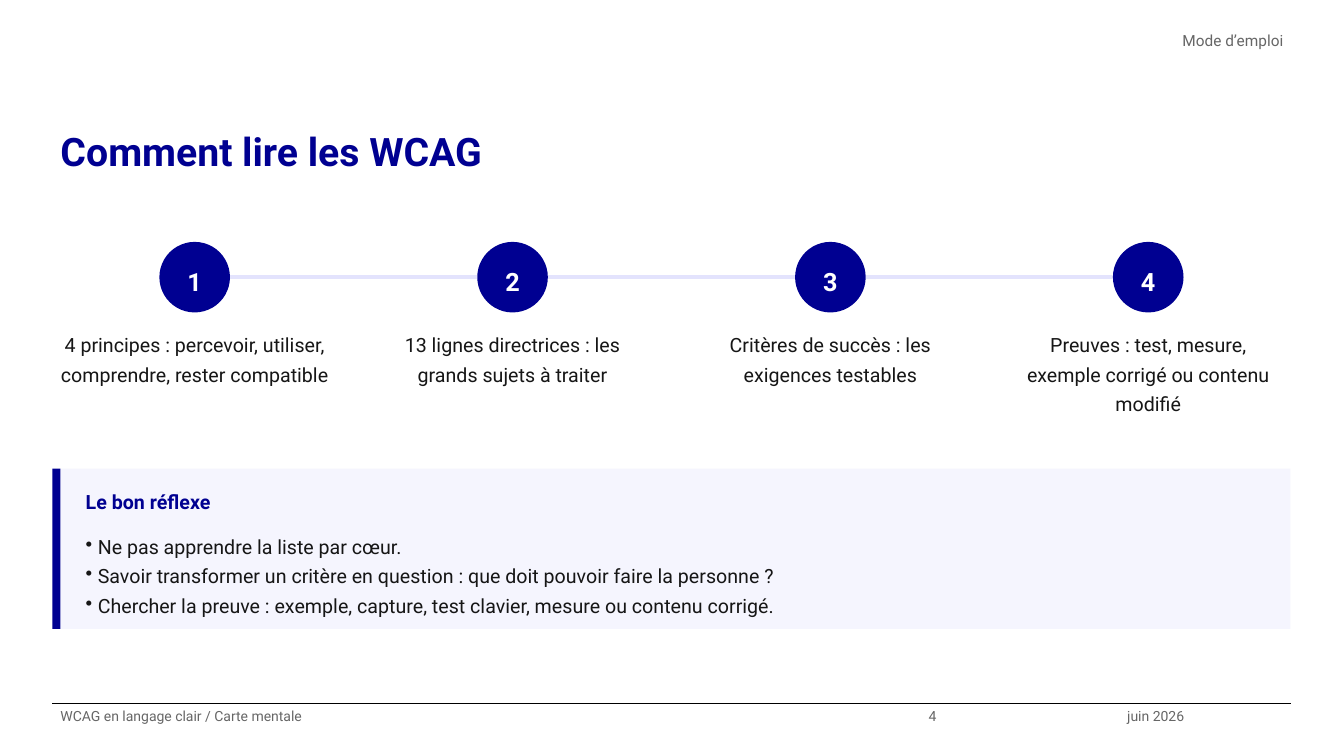
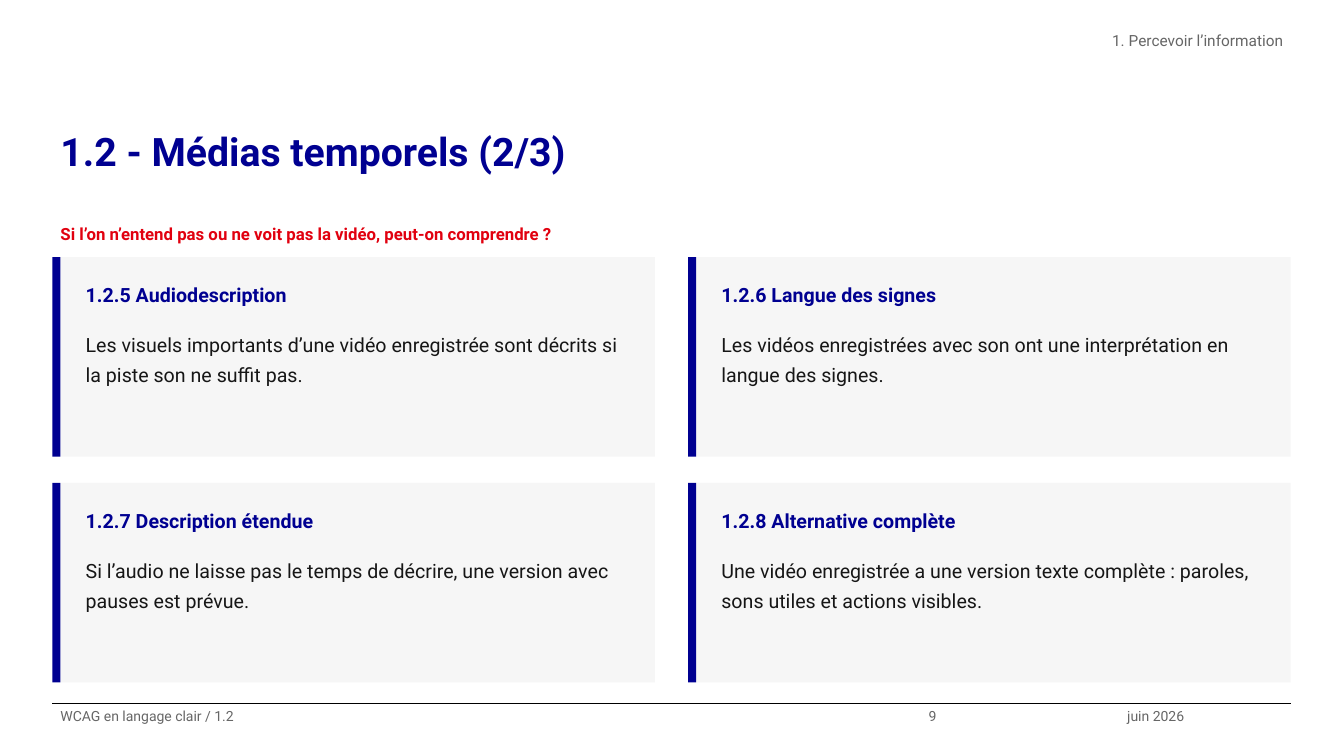
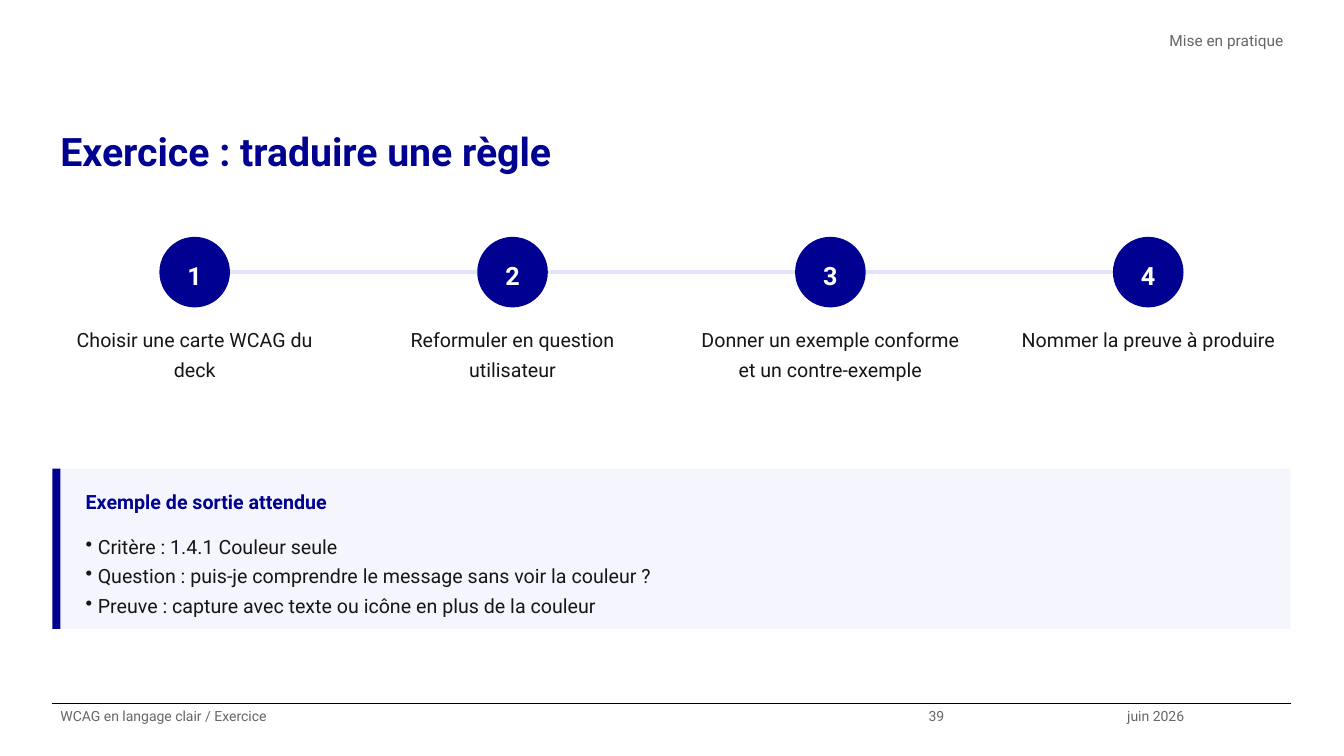
from lxml import etree
from pptx import Presentation
from pptx.dml.color import RGBColor
from pptx.enum.shapes import MSO_CONNECTOR as Connector, MSO_SHAPE as Shape
from pptx.enum.text import MSO_ANCHOR as Anchor, PP_ALIGN as Align
from pptx.oxml.ns import qn
from pptx.util import Inches, Pt

STEPS_SLIDES = [
    dict(
        title="Comment lire les WCAG",
        section="Mode d’emploi",
        chapter="Carte mentale",
        number=4,
        steps_top=2.4,
        steps=[
            "4 principes : percevoir, utiliser, comprendre, rester compatible",
            "13 lignes directrices : les grands sujets à traiter",
            "Critères de succès : les exigences testables",
            "Preuves : test, mesure, exemple corrigé ou contenu modifié",
        ],
        panel_heading="Le bon réflexe",
        panel_points=[
            "Ne pas apprendre la liste par cœur.",
            "Savoir transformer un critère en question : que doit pouvoir faire la personne ?",
            "Chercher la preuve : exemple, capture, test clavier, mesure ou contenu corrigé.",
        ],
    ),
    dict(
        title="Exercice : traduire une règle",
        section="Mise en pratique",
        chapter="Exercice",
        number=39,
        steps_top=2.35,
        steps=[
            "Choisir une carte WCAG du deck",
            "Reformuler en question utilisateur",
            "Donner un exemple conforme et un contre-exemple",
            "Nommer la preuve à produire",
        ],
        panel_heading="Exemple de sortie attendue",
        panel_points=[
            "Critère : 1.4.1 Couleur seule",
            "Question : puis-je comprendre le message sans voir la couleur ?",
            "Preuve : capture avec texte ou icône en plus de la couleur",
        ],
    ),
]

CRITERIA_SLIDE = dict(
    title="1.2 - Médias temporels (2/3)",
    section="1. Percevoir l’information",
    chapter="1.2",
    number=9,
    question="Si l’on n’entend pas ou ne voit pas la vidéo, peut-on comprendre ?",
    criteria=[
        ("1.2.5 Audiodescription",
         "Les visuels importants d’une vidéo enregistrée sont décrits si la piste son ne suffit pas."),
        ("1.2.6 Langue des signes",
         "Les vidéos enregistrées avec son ont une interprétation en langue des signes."),
        ("1.2.7 Description étendue",
         "Si l’audio ne laisse pas le temps de décrire, une version avec pauses est prévue."),
        ("1.2.8 Alternative complète",
         "Une vidéo enregistrée a une version texte complète : paroles, sons utiles et actions visibles."),
    ],
)

COURSE = "WCAG en langage clair"
DATE = "juin 2026"

FONT = "Roboto"
BLUE = RGBColor(0x00, 0x00, 0x91)
PALE_BLUE = RGBColor(0xF5, 0xF5, 0xFE)
LINK_BLUE = RGBColor(0xE3, 0xE3, 0xFD)
RED = RGBColor(0xE1, 0x00, 0x0F)
LIGHT_GRAY = RGBColor(0xF6, 0xF6, 0xF6)
GRAY = RGBColor(0x66, 0x66, 0x66)
INK = RGBColor(0x16, 0x16, 0x16)
BLACK = RGBColor(0, 0, 0)
WHITE = RGBColor(0xFF, 0xFF, 0xFF)

LEFT, WIDTH = 0.52, 12.28
COLUMN_GAP, ROW_GAP = 0.33, 0.26
FOOTER_TOP = 6.98
CIRCLE = 0.7
ACCENT = 0.08
BULLET_INDENT = 0.12


def column_width(count):
    return (WIDTH - (count - 1) * COLUMN_GAP) / count


def write(frame, lines, size, color, bold=False, align=Align.LEFT, inset=0.05, bullets=False):
    frame.word_wrap = True
    frame.margin_left = frame.margin_right = Inches(0.08)
    frame.margin_top = frame.margin_bottom = Inches(inset)
    for index, line in enumerate(lines):
        paragraph = frame.paragraphs[0] if index == 0 else frame.add_paragraph()
        paragraph.text = line
        paragraph.alignment = align
        paragraph.line_spacing = 1.25
        if bullets:
            properties = paragraph._p.get_or_add_pPr()
            properties.set("marL", str(Inches(BULLET_INDENT)))
            properties.set("indent", str(-Inches(BULLET_INDENT)))
            etree.SubElement(properties, qn("a:buChar")).set("char", "•")
        font = paragraph.font
        font.name, font.size, font.bold = FONT, Pt(size), bold
        font.color.rgb = color


def add_text(slide, box, lines, size, color, **style):
    frame = slide.shapes.add_textbox(*map(Inches, box)).text_frame
    write(frame, lines, size, color, **style)


def add_filled(slide, kind, box, color):
    shape = slide.shapes.add_shape(kind, *map(Inches, box))
    shape.shadow.inherit = False
    shape.fill.solid()
    shape.fill.fore_color.rgb = color
    shape.line.fill.background()
    return shape


def add_rule(slide, start, end, y, color, width):
    rule = slide.shapes.add_connector(Connector.STRAIGHT, *map(Inches, (start, y, end, y)))
    rule.line.color.rgb = color
    rule.line.width = width
    etree.SubElement(rule._element.spPr, qn("a:effectLst"))


def add_base_slide(deck, content):
    """Add a blank slide with the shared title, section label and footer."""
    slide = deck.slides.add_slide(deck.slide_layouts[6])
    add_rule(slide, LEFT, LEFT + WIDTH, FOOTER_TOP, BLACK, Pt(0.8))
    add_text(slide, (LEFT, 1.15, WIDTH, 1.05), [content["title"]], 28, BLUE, bold=True, inset=0)
    add_text(slide, (4.83, 0.26, 7.98, 0.52), [content["section"]], 11, GRAY,
             align=Align.RIGHT, inset=0)
    footer = [
        (LEFT, 8.61, f"{COURSE} / {content['chapter']}"),
        (9.13, 1.97, str(content["number"])),
        (11.1, 1.71, DATE),
    ]
    for left, width, text in footer:
        add_text(slide, (left, FOOTER_TOP, width, 0.52), [text], 10, GRAY, inset=0)
    return slide


def add_card(slide, box, fill, heading, lines, pad, heading_height, body_offset, bullets=False):
    """Add a filled card with an accent bar on its left, a heading and body text."""
    left, top, width, height = box
    add_filled(slide, Shape.RECTANGLE, (left + ACCENT, top, width - ACCENT, height), fill)
    add_filled(slide, Shape.RECTANGLE, (left, top, ACCENT, height), BLUE)
    text_left, text_width = left + 0.25, width - 0.25 - pad
    add_text(slide, (text_left, top + pad, text_width, heading_height), [heading], 14, BLUE, bold=True)
    add_text(slide, (text_left, top + body_offset, text_width, height - body_offset - pad),
             lines, 14, INK, bullets=bullets)


def add_steps(slide, steps, top):
    width = column_width(len(steps))
    pitch = width + COLUMN_GAP
    for index, step in enumerate(steps):
        left = LEFT + index * pitch
        circle_left = left + (width - CIRCLE) / 2
        if index:
            add_rule(slide, circle_left - pitch + CIRCLE, circle_left, top + CIRCLE / 2,
                     LINK_BLUE, Inches(0.04))
        circle = add_filled(slide, Shape.OVAL, (circle_left, top, CIRCLE, CIRCLE), BLUE)
        circle.text_frame.vertical_anchor = Anchor.MIDDLE
        write(circle.text_frame, [str(index + 1)], 18, WHITE, bold=True, align=Align.CENTER)
        add_text(slide, (left, top + CIRCLE + 0.1, width, 0.95), [step], 14, INK,
                 align=Align.CENTER)


def build_steps_slide(deck, content):
    slide = add_base_slide(deck, content)
    add_steps(slide, content["steps"], content["steps_top"])
    add_card(slide, (LEFT, 4.65, WIDTH, 1.59), PALE_BLUE, content["panel_heading"],
             content["panel_points"], pad=0.1, heading_height=0.35, body_offset=0.55, bullets=True)


def build_criteria_slide(deck, content):
    slide = add_base_slide(deck, content)
    add_text(slide, (LEFT, 2.12, WIDTH, 0.28), [content["question"]], 12, RED, bold=True)
    width, height = column_width(2), 1.98
    for index, (heading, body) in enumerate(content["criteria"]):
        row, column = divmod(index, 2)
        box = (LEFT + column * (width + COLUMN_GAP), 2.55 + row * (height + ROW_GAP), width, height)
        add_card(slide, box, LIGHT_GRAY, heading, [body],
                 pad=0.15, heading_height=0.45, body_offset=0.65)


def main():
    deck = Presentation()
    deck.slide_width, deck.slide_height = Inches(13.33), Inches(7.5)
    reading, exercise = STEPS_SLIDES
    build_steps_slide(deck, reading)
    build_criteria_slide(deck, CRITERIA_SLIDE)
    build_steps_slide(deck, exercise)
    deck.save("out.pptx")


if __name__ == "__main__":
    main()
